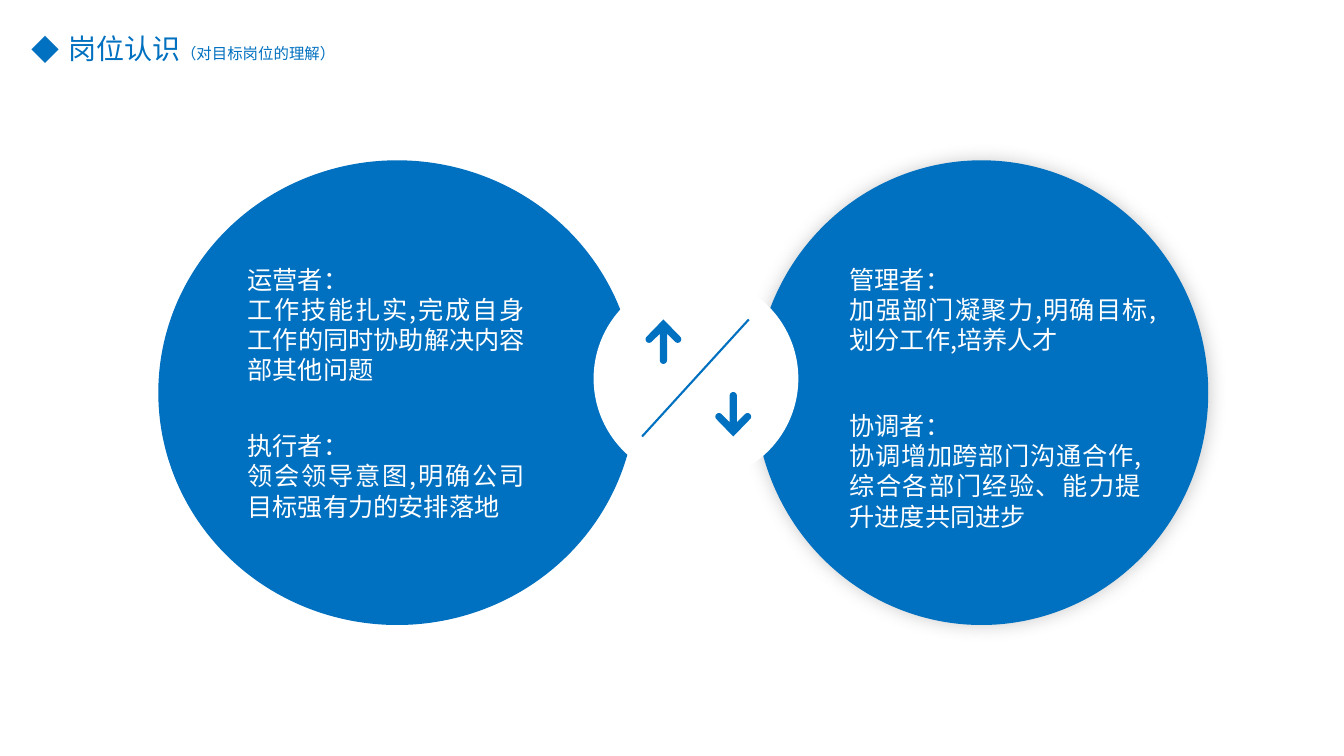
from math import cos, radians, sin

from lxml.etree import SubElement
from pptx import Presentation
from pptx.dml.color import RGBColor
from pptx.enum.shapes import MSO_CONNECTOR, MSO_SHAPE
from pptx.enum.text import MSO_ANCHOR, MSO_AUTO_SIZE, PP_ALIGN
from pptx.oxml.ns import qn
from pptx.util import Cm, Pt

BLUE = RGBColor(0x00, 0x70, 0xC0)
WHITE = RGBColor(0xFF, 0xFF, 0xFF)
GREY = RGBColor(0x80, 0x80, 0x80)
FONT = "Noto Sans CJK SC"


def paint(sp, color):
    sp.shadow.inherit = False
    sp.fill.solid()
    sp.fill.fore_color.rgb = color
    sp.line.fill.background()


def style(r, size, color):
    r.font.size = Pt(size)
    r.font.name = FONT
    r.font.color.rgb = color
    SubElement(r.font._element, qn("a:ea"), typeface=FONT)


prs = Presentation()
prs.slide_width, prs.slide_height = Cm(33.87), Cm(19.05)
slide = prs.slides.add_slide(prs.slide_layouts[5])
shapes = slide.shapes

# Title with diamond bullet
title = shapes.title
title.left, title.top, title.width, title.height = Cm(0.53), Cm(0.66), Cm(16.92), Cm(1.12)
tf = title.text_frame
tf.auto_size = MSO_AUTO_SIZE.NONE
tf.vertical_anchor = MSO_ANCHOR.TOP
p = tf.paragraphs[0]
p.alignment = PP_ALIGN.LEFT
pPr = p._p.get_or_add_pPr()
pPr.set("marL", str(Cm(0.95)))
pPr.set("indent", str(-Cm(0.95)))
SubElement(pPr, qn("a:buFont"), typeface=FONT)
SubElement(pPr, qn("a:buChar"), char="◆")
for text, size in (("岗位认识", 20), ("（对目标岗位的理解）", 11)):
    r = p.add_run()
    r.text = text
    style(r, size, BLUE)

# Two large circles, with the white one joining them
circles = [
    (3.99, 4.04, 12.04, 11.71, BLUE),
    (19.02, 4.04, 11.43, 11.71, BLUE),
    (14.96, 6.96, 5.16, 5.16, WHITE),
]
discs = []
for x, y, w, h, color in circles:
    sp = shapes.add_shape(MSO_SHAPE.OVAL, Cm(x), Cm(y), Cm(w), Cm(h))
    paint(sp, color)
    discs.append(sp)

# Soft glow around the right circle
effects = discs[1]._element.spPr.find(qn("a:effectLst"))
glow = SubElement(effects, qn("a:outerShdw"), blurRad=str(Pt(12)), dist="0", dir="0",
                  algn="ctr", rotWithShape="0")
clr = SubElement(glow, qn("a:srgbClr"), val=str(GREY))
SubElement(clr, qn("a:alpha"), val="40000")

# Diagonal divider
divider = shapes.add_connector(MSO_CONNECTOR.STRAIGHT, Cm(18.87), Cm(8.05), Cm(16.18), Cm(11))
divider.line.color.rgb = BLUE
divider.line.width = Pt(1.5)
SubElement(divider._element.spPr, qn("a:effectLst"))

# Round-ended arrows: half an outline from the tip, then its mirror image
CAP = 0.09
half = [(0.36 + CAP * cos(radians(a)), 0.5 + CAP * sin(radians(a))) for a in range(-45, 136, 15)]
half.append((CAP, 0.36))
half += [(CAP * cos(radians(a)), 1.03 + CAP * sin(radians(a))) for a in range(0, 91, 15)]
outline = half + [(-x, y) for x, y in reversed(half)]
for tip_x, tip_y, down in ((16.72, 8.05, 1), (18.48, 11, -1)):
    builder = shapes.build_freeform(Cm(tip_x), Cm(tip_y))
    builder.add_line_segments([(Cm(tip_x + x), Cm(tip_y + down * y)) for x, y in outline])
    paint(builder.convert_to_shape(), BLUE)

# Role descriptions
roles = [
    (5.99, 6.53, 7.49, 3.33, "运营者：", "工作技能扎实,完成自身工作的同时协助解决内容部其他问题"),
    (5.99, 10.72, 7.49, 2.57, "执行者：", "领会领导意图,明确公司目标强有力的安排落地"),
    (21.16, 6.53, 8.23, 2.57, "管理者：", "加强部门凝聚力,明确目标,划分工作,培养人才"),
    (21.16, 10.21, 7.85, 3.33, "协调者：", "协调增加跨部门沟通合作,综合各部门经验、能力提升进度共同进步"),
]
for x, y, w, h, role, duty in roles:
    tf = shapes.add_textbox(Cm(x), Cm(y), Cm(w), Cm(h)).text_frame
    tf.word_wrap = True
    tf.auto_size = MSO_AUTO_SIZE.SHAPE_TO_FIT_TEXT
    tf.text = f"{role}\n{duty}"
    for p in tf.paragraphs:
        p.alignment = PP_ALIGN.JUSTIFY
        style(p.runs[0], 18, WHITE)

prs.save("out.pptx")
